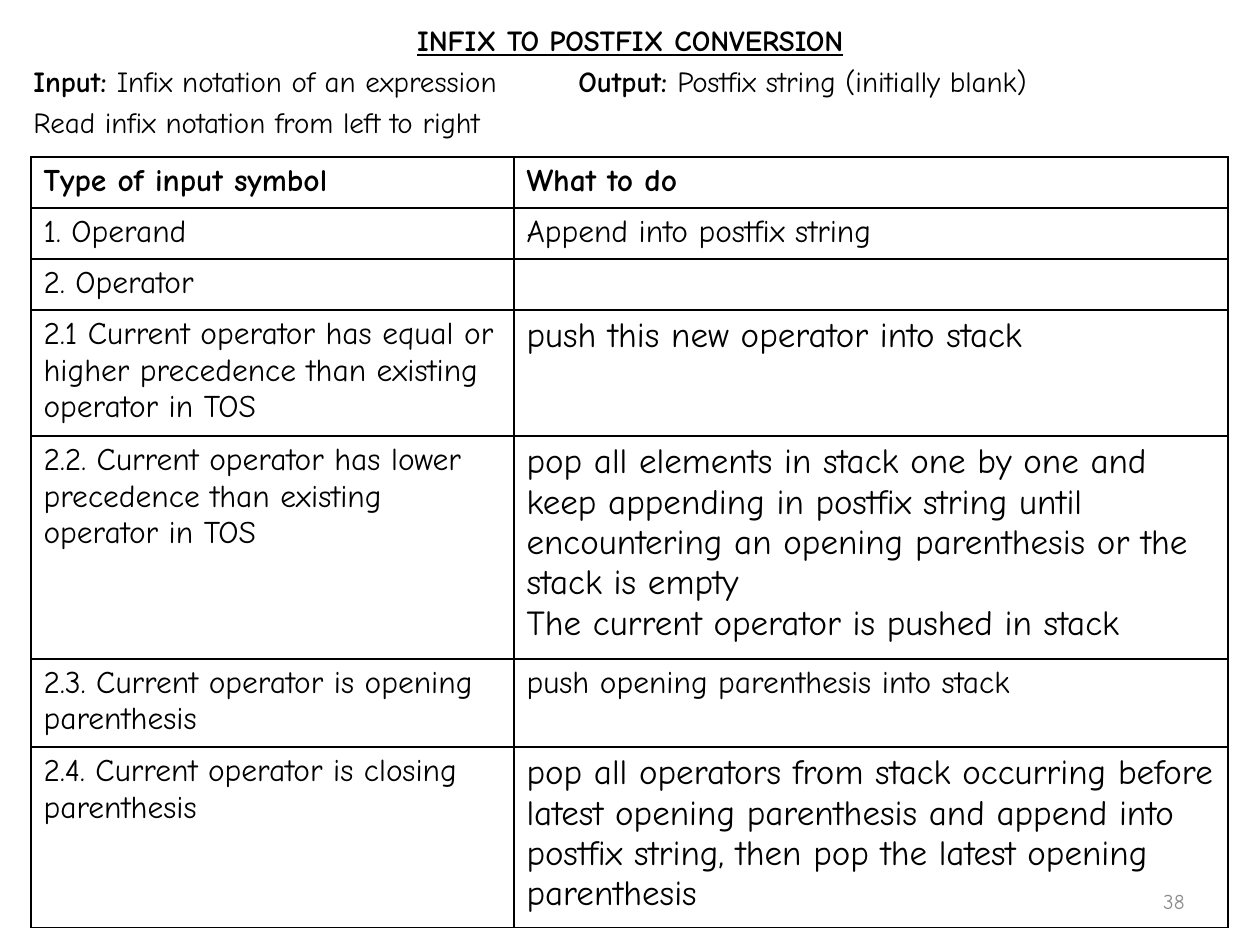
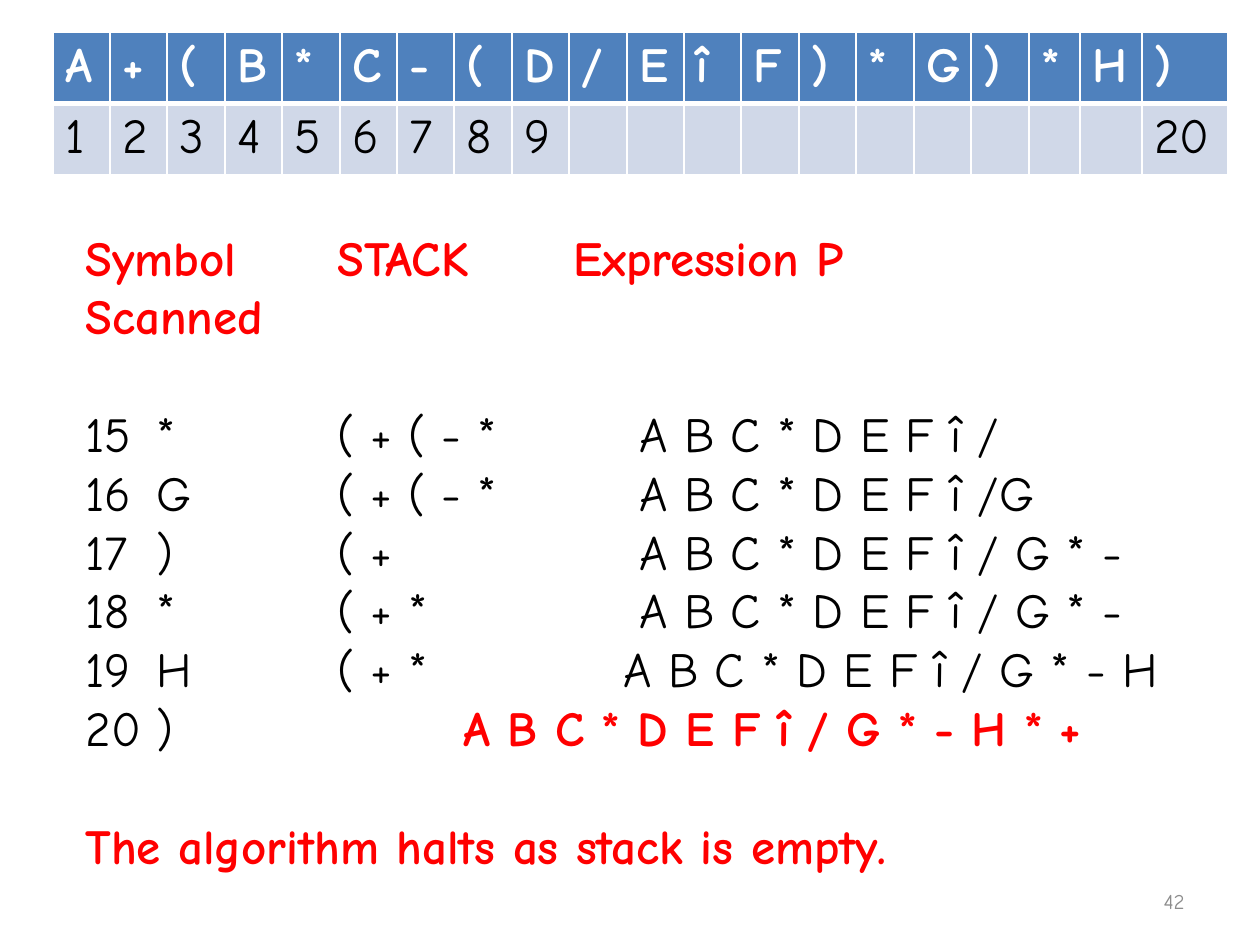
from dataclasses import dataclass
from typing import Optional

from lxml import etree
from pptx import Presentation
from pptx.dml.color import RGBColor
from pptx.enum.text import MSO_ANCHOR, PP_ALIGN
from pptx.oxml.ns import qn
from pptx.util import Emu, Pt

# Shared look
FONT = "Comic Neue"
BLACK = RGBColor(0x00, 0x00, 0x00)
WHITE = RGBColor(0xFF, 0xFF, 0xFF)
RED = RGBColor(0xFF, 0x00, 0x00)
GREY = RGBColor(0x8C, 0x8C, 0x8C)
BLUE = RGBColor(0x4F, 0x81, 0xBD)
PALE_BLUE = RGBColor(0xD0, 0xD8, 0xE8)
LEFT, CENTER, RIGHT = PP_ALIGN.LEFT, PP_ALIGN.CENTER, PP_ALIGN.RIGHT
TOP, MIDDLE = MSO_ANCHOR.TOP, MSO_ANCHOR.MIDDLE
PX_PER_INCH = 126
SIDES = ("L", "R", "T", "B")


@dataclass(frozen=True)
class Span:
    text: str
    bold: bool = False
    color: RGBColor = BLACK
    underline: bool = False


@dataclass(frozen=True)
class Line:
    spans: tuple[Span, ...]
    tabs: tuple[int, ...] = ()
    space_before: float = 0
    align: PP_ALIGN = LEFT
    first_number: Optional[int] = None


@dataclass(frozen=True)
class Frame:
    left: int
    top: int
    width: int
    height: int


@dataclass(frozen=True)
class CellStyle:
    size: float
    bold: bool = False
    color: RGBColor = BLACK
    fill: Optional[RGBColor] = None
    border: RGBColor = BLACK
    widths: tuple[float, ...] = (1, 1, 1, 1)


def px(length: int) -> Emu:
    return Emu(round(length * 914400 / PX_PER_INCH))


def place(frame: Frame) -> tuple[Emu, ...]:
    return px(frame.left), px(frame.top), px(frame.width), px(frame.height)


# Text
def add_numbering(paragraph, first_number: int, indent: int) -> None:
    properties = paragraph._p.get_or_add_pPr()
    properties.set("marL", str(px(indent)))
    properties.set("indent", str(-px(indent)))
    etree.SubElement(properties, qn("a:buFont"), typeface=FONT)
    etree.SubElement(properties, qn("a:buAutoNum"), type="arabicPlain",
                     startAt=str(first_number))


def add_tabs(paragraph, tabs: tuple[int, ...]) -> None:
    tab_list = etree.SubElement(paragraph._p.get_or_add_pPr(), qn("a:tabLst"))
    for tab in tabs:
        etree.SubElement(tab_list, qn("a:tab"), pos=str(px(tab)), algn="l")


def style_font(font, size: float, bold: bool, color: RGBColor) -> None:
    font.name = FONT
    font.size = Pt(size)
    font.bold = bold
    font.color.rgb = color


def add_text(page, frame: Frame, lines: list[Line], size: float, anchor=TOP) -> None:
    box = page.shapes.add_textbox(*place(frame))
    text_frame = box.text_frame
    text_frame.word_wrap = True
    text_frame.vertical_anchor = anchor
    text_frame.text = "\n".join("" for _ in lines)
    for paragraph, line in zip(text_frame.paragraphs, lines):
        if line.first_number is not None:
            add_numbering(paragraph, line.first_number, NUMBER_INDENT)
        if line.tabs:
            add_tabs(paragraph, line.tabs)
        paragraph.alignment = line.align
        if line.space_before:
            paragraph.space_before = Pt(line.space_before)
        for span in line.spans:
            run = paragraph.add_run()
            run.text = span.text
            style_font(run.font, size, span.bold, span.color)
            run.font.underline = span.underline


def add_page_number(page, number: int) -> None:
    line = Line((Span(str(number), color=GREY),), align=RIGHT)
    add_text(page, Frame(903, 876, 294, 50), [line], 12, MIDDLE)


# Tables
def style_cell(cell, text: str, style: CellStyle) -> None:
    properties = cell._tc.get_or_add_tcPr()
    for side, width in zip(SIDES, style.widths):
        edge = etree.SubElement(properties, qn(f"a:ln{side}"), w=str(Pt(width)))
        fill = etree.SubElement(edge, qn("a:solidFill"))
        etree.SubElement(fill, qn("a:srgbClr"), val=str(style.border))
    if style.fill is None:
        cell.fill.background()
    else:
        cell.fill.solid()
        cell.fill.fore_color.rgb = style.fill
    cell.text_frame.text = text
    for paragraph in cell.text_frame.paragraphs:
        style_font(paragraph.font, style.size, style.bold, style.color)
        for run in paragraph.runs:
            style_font(run.font, style.size, style.bold, style.color)


def add_grid(page, left: int, top: int, widths: list[int], heights: list[int],
             rows: list[list[tuple[str, CellStyle]]]) -> None:
    frame = Frame(left, top, sum(widths), sum(heights))
    table = page.shapes.add_table(len(heights), len(widths), *place(frame)).table
    table.first_row = False
    table.horz_banding = False
    for column, width in zip(table.columns, widths):
        column.width = px(width)
    for row, height, contents in zip(table.rows, heights, rows):
        row.height = px(height)
        for cell, (text, style) in zip(row.cells, contents):
            style_cell(cell, text, style)


# Conversion rules
HEAD = CellStyle(18, bold=True)
BODY = CellStyle(18)
LARGE = CellStyle(20)
RULES = [
    [("Type of input symbol", HEAD), ("What to do", HEAD)],
    [("1. Operand", BODY), ("Append into postfix string", BODY)],
    [("2. Operator", BODY), ("", BODY)],
    [("2.1 Current operator has equal or higher precedence than existing "
      "operator in TOS", BODY),
     ("push this new operator into stack", LARGE)],
    [("2.2. Current operator has lower precedence than existing operator in TOS", BODY),
     ("pop all elements in stack one by one and keep appending in postfix string "
      "until encountering an opening parenthesis or the stack is empty\n"
      "The current operator is pushed in stack", LARGE)],
    [("2.3. Current operator is opening parenthesis", BODY),
     ("push opening parenthesis into stack", BODY)],
    [("2.4. Current operator is closing parenthesis", BODY),
     ("pop all operators from stack occurring before latest opening parenthesis and "
      "append into postfix string, then pop the latest opening parenthesis", LARGE)],
]
RULE_HEIGHTS = [51, 51, 51, 122, 214, 85, 175]


def build_rules(page) -> None:
    add_text(page, Frame(21, 16, 1218, 141), [
        Line((Span("INFIX TO POSTFIX CONVERSION", True, underline=True),), align=CENTER),
        Line((Span("Input: ", True), Span("Infix notation of an expression\t"),
              Span("Output: ", True), Span("Postfix string (initially blank)")),
             tabs=(545,), space_before=3.5),
        Line((Span("Read infix notation from left to right"),), space_before=3.5),
    ], 16.6)
    add_page_number(page, 38)
    add_grid(page, 31, 157, [483, 714], RULE_HEIGHTS, RULES)


# Worked example
SYMBOLS = "A+(B*C-(D/EîF)*G)*H)"
LABELED_COUNT = 9
EVEN_COLUMNS, EVEN_WIDTH = 17, 976
SYMBOL_STYLE = CellStyle(28, True, WHITE, BLUE, WHITE, (1, 1, 1, 3))
INDEX_STYLE = CellStyle(28, False, BLACK, PALE_BLUE, WHITE, (1, 1, 3, 1))
NUMBER_INDENT = 71
FIRST_STEP = 15
STACK_TAB, HEADING_TAB, EXPRESSION_TAB = 252, 488, 554
LAST_STACK_TAB, RESULT_TAB = 538, 378
BLANK_LINE = 33.5
STEPS = [
    ("*", "( + ( - *", "A B C * D E F î /", EXPRESSION_TAB),
    ("G", "( + ( - *", "A B C * D E F î /G", EXPRESSION_TAB),
    (")", "( +", "A B C * D E F î / G * -", EXPRESSION_TAB),
    ("*", "( + *", "A B C * D E F î / G * -", EXPRESSION_TAB),
    ("H", "( + *", "A B C * D E F î / G * - H", LAST_STACK_TAB),
]


def build_example(page) -> None:
    add_page_number(page, 42)
    edges = [i * EVEN_WIDTH // EVEN_COLUMNS for i in range(EVEN_COLUMNS + 1)]
    widths = [end - start for start, end in zip(edges, edges[1:])] + [51, 62, 86]
    count = len(SYMBOLS)
    indexes = [str(i) if i <= LABELED_COUNT or i == count else ""
               for i in range(1, count + 1)]
    add_grid(page, 53, 32, widths, [71, 71], [
        [(symbol, SYMBOL_STYLE) for symbol in SYMBOLS],
        [(index, INDEX_STYLE) for index in indexes],
    ])

    lines = [
        Line((Span("Symbol\tSTACK\tExpression P", True, RED),),
             tabs=(STACK_TAB, HEADING_TAB)),
        Line((Span("Scanned", True, RED),)),
    ]
    for i, (symbol, stack, expression, tab) in enumerate(STEPS):
        lines.append(Line((Span(f"{symbol}\t{stack}\t{expression}"),),
                          tabs=(STACK_TAB, tab),
                          space_before=0 if i else BLANK_LINE,
                          first_number=FIRST_STEP))
    lines += [
        Line((Span(")\t"), Span("A B C * D E F î / G * - H * +", True, RED)),
             tabs=(RESULT_TAB,), first_number=FIRST_STEP),
        Line((Span("The algorithm halts as stack is empty.", True, RED),),
             space_before=BLANK_LINE),
    ]
    add_text(page, Frame(73, 221, 1155, 665), lines, 28)


def main() -> None:
    deck = Presentation()
    deck.slide_width, deck.slide_height = px(1260), px(945)
    for build in (build_rules, build_example):
        build(deck.slides.add_slide(deck.slide_layouts[6]))
    deck.save("out.pptx")


if __name__ == "__main__":
    main()
